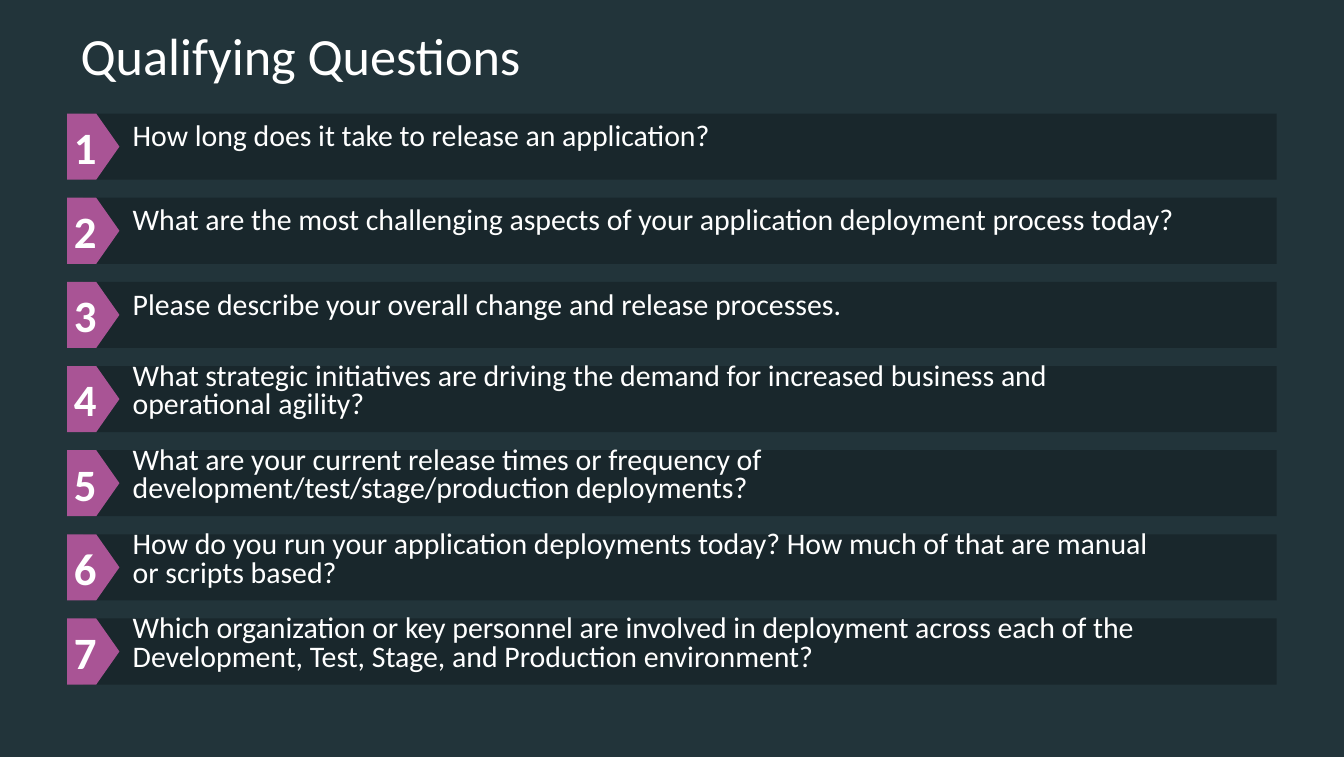
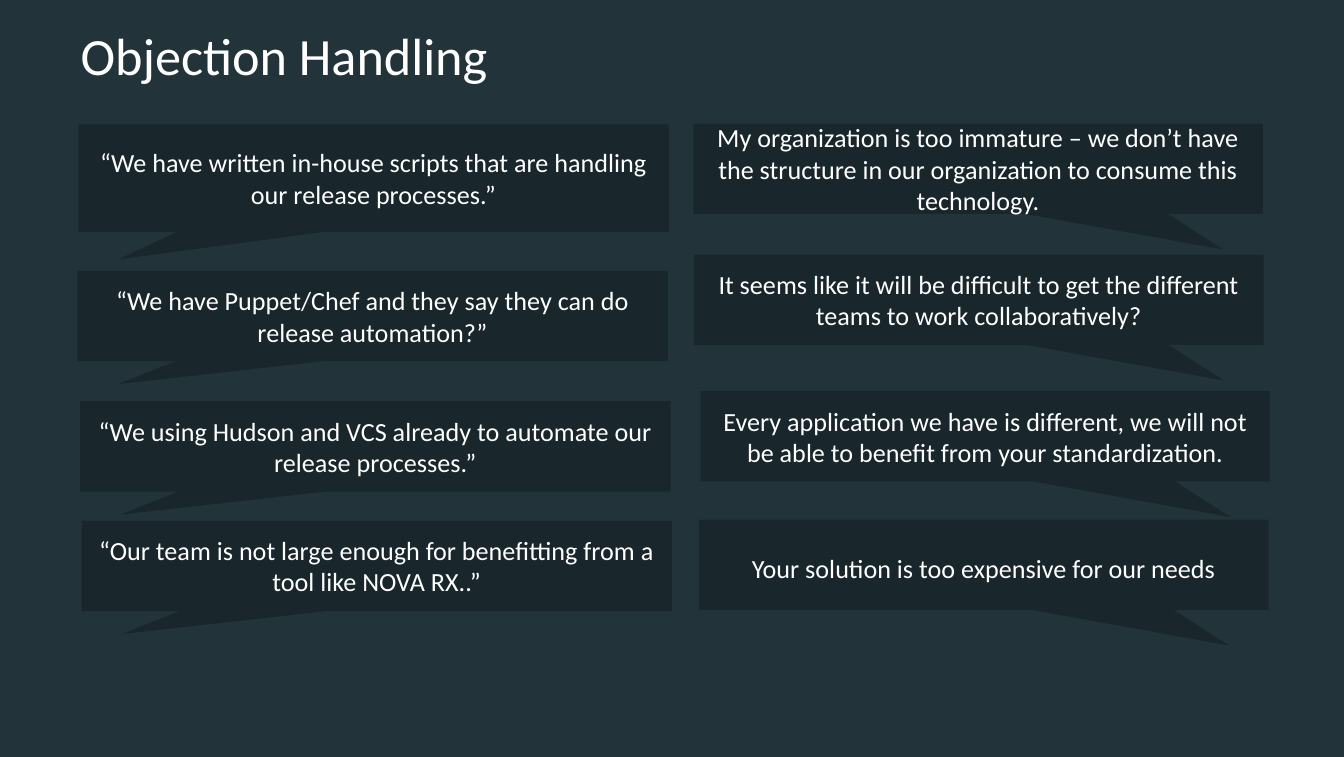
from pptx import Presentation
from pptx.dml.color import RGBColor
from pptx.enum import shapes, text
from pptx.util import Pt

BACKDROP = RGBColor(0x22, 0x34, 0x3A)
PANEL = RGBColor(0x19, 0x27, 0x2C)
ACCENT = RGBColor(0xA9, 0x54, 0x95)
WHITE = RGBColor(0xFF, 0xFF, 0xFF)
FONT = "Calibri"

ROW_TOP, ROW_STEP, ROW_HEIGHT = 60.8, 45.06, 35.4
NUMBER_HEIGHT = 28.8
ONE_LINE_SHIFT, TWO_LINE_SHIFT = 2, -5

QUESTIONS = [
    ("How long does it take to release an application?", ONE_LINE_SHIFT),
    ("What are the most challenging aspects of your application deployment process today?",
     ONE_LINE_SHIFT),
    ("Please describe your overall change and release processes.", ONE_LINE_SHIFT),
    ("What strategic initiatives are driving the demand for increased business and "
     "operational agility?", TWO_LINE_SHIFT),
    ("What are your current release times or frequency of "
     "development/test/stage/production deployments?", TWO_LINE_SHIFT),
    ("How do you run your application deployments today? How much of that are manual "
     "or scripts based?", TWO_LINE_SHIFT),
    ("Which organization or key personnel are involved in deployment across each of the "
     "Development, Test, Stage, and Production environment?", TWO_LINE_SHIFT),
]

CUSTOMER_QUOTES = [
    ("“We have written in-house scripts that are handling our release processes.”",
     42, 66.6, 57.6, None),
    ("“We have Puppet/Chef and they say they can do release automation?”",
     41.5, 145, 48.4, None),
    ("“We using Hudson and VCS already to automate our release processes.”",
     43, 214.8, 48.4, None),
    ("“Our team is not large enough for benefitting from a tool like NOVA RX..”",
     43.7, 278.8, 48.4, None),
]
CUSTOMER_DOUBTS = [
    ("My organization is too immature – we don’t have the structure in our organization "
     "to consume this technology.", 371.4, 66.2, 48.4, None),
    ("It seems like it will be difficult to get the different teams to work collaboratively?",
     371.8, 136.3, 48.4, None),
    ("Every application we have is different, we will not be able to benefit from your "
     "standardization.", 375.3, 209.4, 48.4, None),
    ("Your solution is too expensive for our needs", 374.5, 278.2, 48.4, 1.2),
]


def write_text(holder, content, size, bold=False, align=text.PP_ALIGN.LEFT,
               anchor=text.MSO_ANCHOR.TOP, insets=(7.2, 3.6), wrap=True,
               spacing=None, after=None, fit=text.MSO_AUTO_SIZE.NONE):
    frame = holder.text_frame
    frame.word_wrap = wrap
    frame.auto_size = fit
    frame.vertical_anchor = anchor
    frame.margin_left = frame.margin_right = Pt(insets[0])
    frame.margin_top = frame.margin_bottom = Pt(insets[1])
    paragraph = frame.paragraphs[0]
    paragraph.alignment = align
    paragraph.space_before = Pt(0)
    if spacing is not None:
        paragraph.line_spacing = spacing
    if after is not None:
        paragraph.space_after = Pt(after)
    run = paragraph.add_run()
    run.text = content
    run.font.name = FONT
    run.font.size = Pt(size)
    run.font.bold = bold
    run.font.color.rgb = WHITE


def add_panel(parent, preset, left, top, width, height, color=PANEL, adjustments=()):
    panel = parent.shapes.add_shape(preset, Pt(left), Pt(top), Pt(width), Pt(height))
    panel.shadow.inherit = False
    panel.fill.solid()
    panel.fill.fore_color.rgb = color
    panel.line.fill.background()
    for index, value in enumerate(adjustments):
        panel.adjustments[index] = value
    return panel


def add_label(slide, content, left, top, width, height, size, **style):
    label = slide.shapes.add_textbox(Pt(left), Pt(top), Pt(width), Pt(height))
    write_text(label, content, size, fit=text.MSO_AUTO_SIZE.SHAPE_TO_FIT_TEXT, **style)


def add_titled_slide(deck, heading):
    slide = deck.slides.add_slide(deck.slide_layouts[5])
    title = slide.shapes.title
    title.left, title.top, title.width, title.height = Pt(36), Pt(12.6), Pt(648), Pt(64.8)
    write_text(title, heading, 28, spacing=0.9)
    return slide


def add_question(slide, number, question, shift):
    top = ROW_TOP + (number - 1) * ROW_STEP
    row = slide.shapes.add_group_shape()
    add_panel(row, shapes.MSO_SHAPE.RECTANGLE, 44.6, top, 639.4, ROW_HEIGHT)
    add_panel(row, shapes.MSO_SHAPE.PENTAGON, 36, top, 28, ROW_HEIGHT, ACCENT, [0.444])
    add_label(slide, question, 64, top + shift, 574.6, 24 if shift > 0 else 39, 16,
              spacing=0.8, after=6)
    add_label(slide, str(number), 39.6, top + (ROW_HEIGHT - NUMBER_HEIGHT) / 2, 12.2,
              NUMBER_HEIGHT, 24, bold=True, align=text.PP_ALIGN.CENTER,
              anchor=text.MSO_ANCHOR.MIDDLE, insets=(0, 0), wrap=False)


def add_objections(slide, objections, width, tail):
    for objection, left, top, height, spacing in objections:
        bubble = add_panel(slide, shapes.MSO_SHAPE.RECTANGULAR_CALLOUT, left, top,
                           width, height, adjustments=tail)
        write_text(bubble, objection, 14, align=text.PP_ALIGN.CENTER,
                   anchor=text.MSO_ANCHOR.MIDDLE, insets=(7.2, 7.2), spacing=spacing)


def main():
    deck = Presentation()
    deck.slide_width, deck.slide_height = Pt(720), Pt(405.36)
    backdrop = deck.slide_master.background.fill
    backdrop.solid()
    backdrop.fore_color.rgb = BACKDROP

    qualifying = add_titled_slide(deck, "Qualifying Questions")
    for number, (question, shift) in enumerate(QUESTIONS, 1):
        add_question(qualifying, number, question, shift)

    handling = add_titled_slide(deck, "Objection Handling")
    add_objections(handling, CUSTOMER_QUOTES, 316.3, (-0.432, 0.756))
    add_objections(handling, CUSTOMER_DOUBTS, 305.1, (0.431, 0.895))

    deck.save("out.pptx")


if __name__ == "__main__":
    main()
